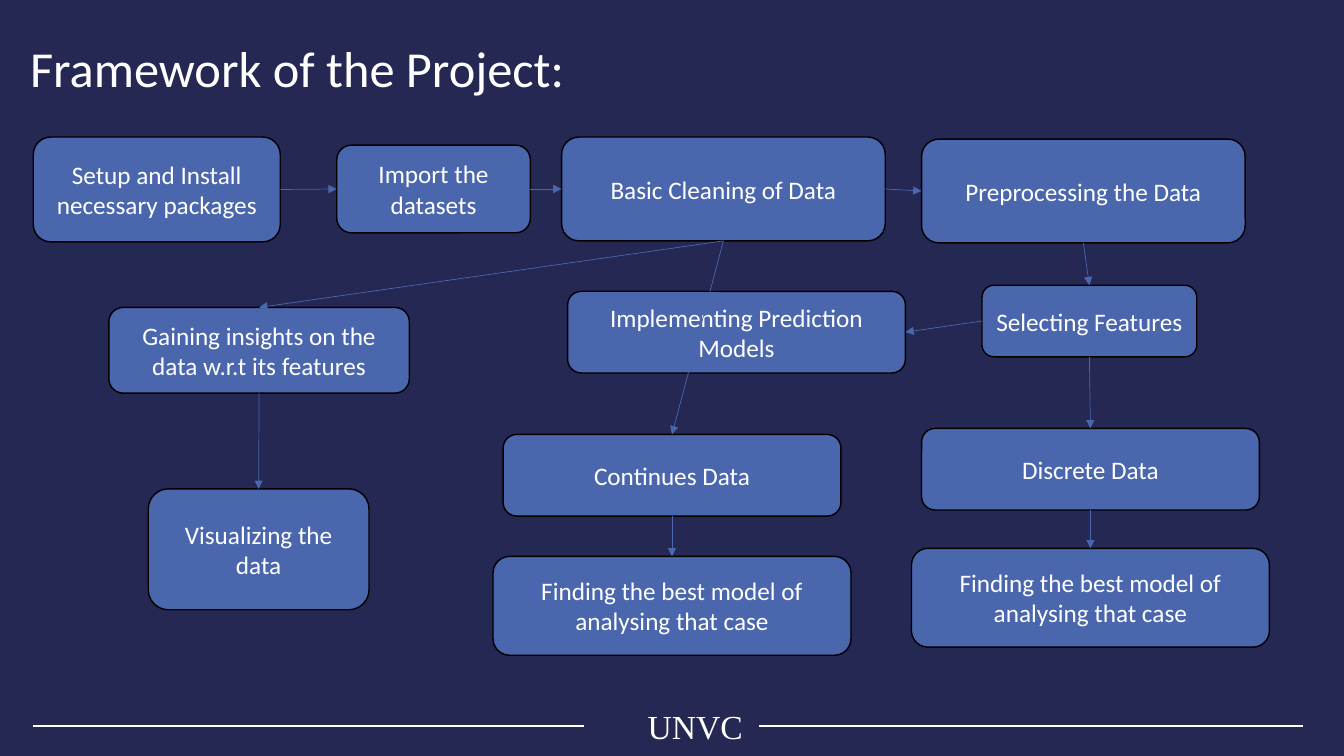
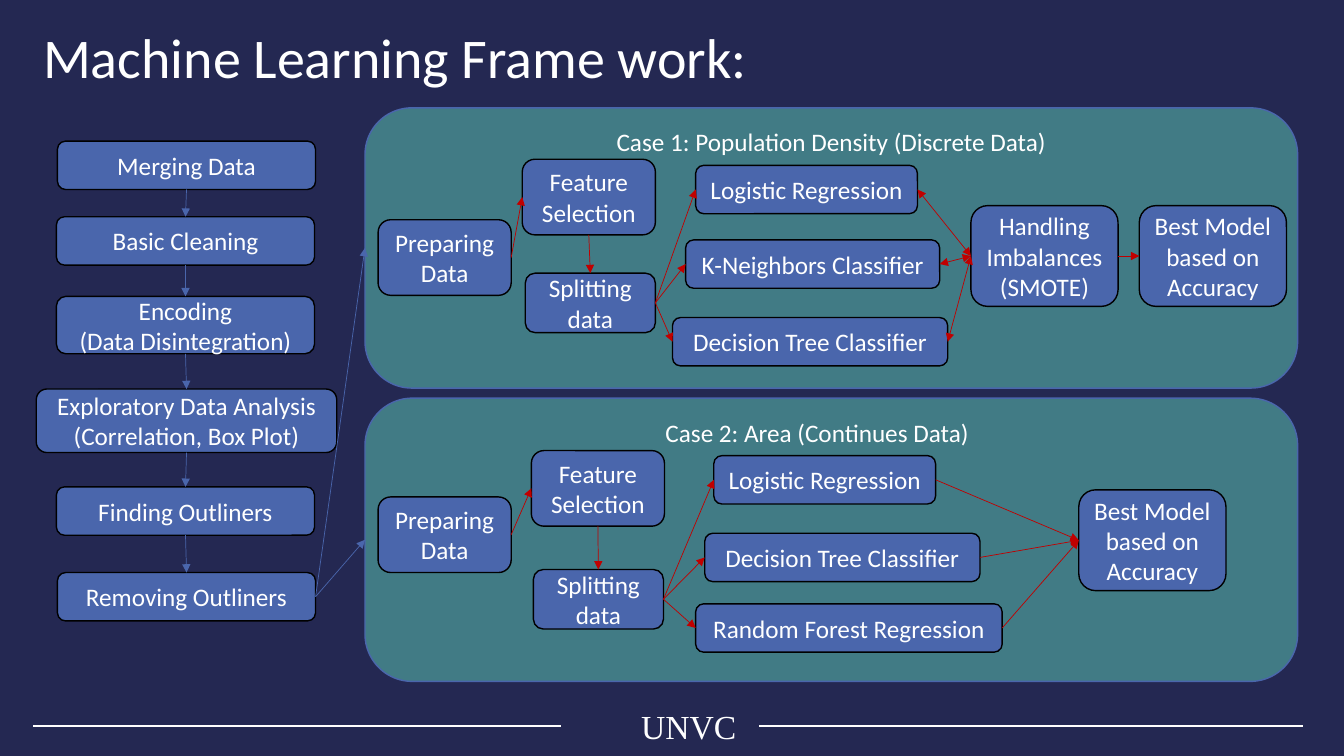
"""Build two flow-chart slides about a machine learning project."""
import pptx
import pptx.util
import pptx.dml.color
import pptx.enum.shapes
import pptx.enum.text
import pptx.oxml
import pptx.oxml.ns

PX = 9144
TOP, LEFT, BASE, RIGHT = range(4)
ALIGN = pptx.enum.text.PP_ALIGN
ANCHOR = pptx.enum.text.MSO_ANCHOR


class Theme:
    """Colours, fonts and type sizes."""
    back, ink, edge = "242852", "FFFFFF", "000000"
    blue, teal, red = "4A66AC", "417B85", "C00000"
    body, serif = "Calibri", "Times New Roman"
    label, mark = 18, 24
    thin, rim, rule = 0.5, 1, 1.5


class Deck:
    """Holds the style and the current slide."""

    def __init__(self, theme):
        self.theme = theme
        self.show = pptx.Presentation()
        self.show.slide_width, self.show.slide_height = 1333 * PX, 750 * PX
        self.slide = None

    def tint(self, code):
        return pptx.dml.color.RGBColor.from_string(code)

    def page(self, title, spot, size, end, align):
        self.slide = self.show.slides.add_slide(self.show.slide_layouts[6])
        fill = self.slide.background.fill
        fill.solid()
        fill.fore_color.rgb = self.tint(self.theme.back)
        self.text(title, spot, size, self.theme.body)
        self.text("UNVC", (626, 695, 127, 50), self.theme.mark, self.theme.serif, align)
        for start, stop in ((33, end), (753, 1292)):
            self.line((start, 720, stop, 720), self.theme.ink, self.theme.rule)

    def words(self, frame, text, size, font, align):
        frame.word_wrap = True
        frame.text = text
        for para in frame.paragraphs:
            para.alignment = align
            para.font.size = pptx.util.Pt(size)
            para.font.name = font
            para.font.color.rgb = self.tint(self.theme.ink)

    def text(self, text, spot, size, font, align=ALIGN.LEFT):
        box = self.slide.shapes.add_textbox(*(n * PX for n in spot))
        self.words(box.text_frame, text, size, font, align)

    def box(self, text, spot, fill=Theme.blue, edge=Theme.edge, anchor=ANCHOR.MIDDLE):
        kind = pptx.enum.shapes.MSO_SHAPE.ROUNDED_RECTANGLE
        box = self.slide.shapes.add_shape(kind, *(n * PX for n in spot))
        box.shadow.inherit = False
        box.fill.solid()
        box.fill.fore_color.rgb = self.tint(fill)
        box.line.color.rgb = self.tint(edge)
        box.line.width = pptx.util.Pt(self.theme.rim)
        box.text_frame.vertical_anchor = anchor
        self.words(box.text_frame, text, self.theme.label, self.theme.body, ALIGN.CENTER)
        return box

    def panel(self, text, spot, shift=0):
        panel = self.box(text, spot, self.theme.teal, self.theme.blue, ANCHOR.TOP)
        panel.text_frame.margin_right += shift * PX
        return panel

    def line(self, ends, tint, width):
        kind = pptx.enum.shapes.MSO_CONNECTOR.STRAIGHT
        line = self.slide.shapes.add_connector(kind, *(n * PX for n in ends))
        line.line.color.rgb = self.tint(tint)
        line.line.width = pptx.util.Pt(width)
        line._element.spPr.append(self.node("effectLst"))
        return line

    def node(self, tag):
        space = pptx.oxml.ns.nsdecls("a")
        return pptx.oxml.parse_xml(f"<a:{tag} {space}/>")

    def link(self, start, out, stop, into, tint=Theme.blue, both=False):
        line = self.line((0, 0, 0, 0), tint, self.theme.thin)
        line.begin_connect(start, out)
        line.end_connect(stop, into)
        stroke = line._element.spPr.find(pptx.oxml.ns.qn("a:ln"))
        for tag in ("headEnd", "tailEnd") if both else ("tailEnd",):
            tip = self.node(tag)
            tip.set("type", "triangle")
            stroke.append(tip)

    def case(self, prep, pick, split, models):
        first = self.box("Preparing Data", (*prep, 132, 75))
        second = self.box("Feature Selection", (*pick, 132, 75))
        third = self.box("Splitting data", (*split, 129, 59))
        group = [self.box(name, (x, y, w, 48)) for name, x, y, w in models]
        self.link(first, RIGHT, second, LEFT, self.theme.red)
        self.link(second, BASE, third, TOP, self.theme.red)
        for model in group:
            self.link(third, RIGHT, model, LEFT, self.theme.red)
        return group

    def merge(self, group, goal, both=False):
        for model in group:
            self.link(model, RIGHT, goal, LEFT, self.theme.red, both)


def project(deck):
    deck.page("Framework of the Project:", (20, 32, 1286, 71), 36, 579, ALIGN.CENTER)
    best = "Finding the best model of analysing that case"
    setup = deck.box("Setup and Install necessary packages", (33, 136, 245, 104))
    load = deck.box("Import the datasets", (334, 144, 192, 87))
    clean = deck.box("Basic Cleaning of Data", (557, 136, 321, 103))
    prep = deck.box("Preprocessing the Data", (914, 138, 321, 103))
    gain = deck.box("Gaining insights on the data w.r.t its features", (108, 305, 298, 85))
    view = deck.box("Visualizing the data", (147, 485, 219, 120))
    model = deck.box("Implementing Prediction Models", (563, 289, 335, 81))
    pick = deck.box("Selecting Features", (974, 283, 213, 71))
    flow = deck.box("Continues Data", (499, 431, 335, 81))
    step = deck.box("Discrete Data", (914, 425, 335, 81))
    left = deck.box(best, (489, 552, 355, 98))
    right = deck.box(best, (904, 544, 355, 98))
    for start, stop in ((setup, load), (load, clean), (clean, prep)):
        deck.link(start, RIGHT, stop, LEFT)
    deck.link(pick, LEFT, model, RIGHT)
    for start, stop in ((clean, gain), (gain, view), (clean, flow), (flow, left),
                        (prep, pick), (pick, step), (step, right)):
        deck.link(start, BASE, stop, TOP)


def learning(deck):
    deck.page("Machine Learning Frame work:", (33, 17, 1223, 77), 40, 556, ALIGN.LEFT)
    best = "Best Model based on Accuracy"
    cases = [deck.panel("Case 1: Population Density (Discrete Data)", (362, 107, 925, 278)),
             deck.panel("Case 2: Area (Continues Data)", (362, 395, 925, 281), 28)]
    steps = [deck.box(text, spot) for text, spot in (
        ("Merging Data", (57, 140, 256, 48)),
        ("Basic Cleaning", (56, 215, 256, 48)),
        ("Encoding\n(Data Disintegration)", (56, 294, 256, 57)),
        ("Exploratory Data Analysis\n(Correlation, Box Plot)", (36, 386, 298, 63)),
        ("Finding Outliners", (56, 483, 256, 48)),
        ("Removing Outliners", (57, 568, 256, 48)))]
    for start, stop in zip(steps, steps[1:]):
        deck.link(start, BASE, stop, TOP)
    for panel in cases:
        deck.link(steps[-1], RIGHT, panel, LEFT)

    group = deck.case((375, 218), (518, 158), (521, 271), (
        ("Logistic Regression", 690, 164, 220),
        ("K-Neighbors Classifier", 680, 238, 252),
        ("Decision Tree Classifier", 667, 315, 273)))
    smote = deck.box("Handling Imbalances (SMOTE)", (963, 204, 146, 100))
    deck.merge(group, smote, True)
    deck.merge([smote], deck.box(best, (1130, 204, 146, 100)))

    group = deck.case((375, 493), (527, 447), (529, 565), (
        ("Logistic Regression", 708, 452, 220),
        ("Decision Tree Classifier", 699, 529, 273),
        ("Random Forest Regression", 690, 599, 304)))
    deck.merge(group, deck.box(best, (1070, 486, 146, 100)))


def main():
    deck = Deck(Theme())
    project(deck)
    learning(deck)
    deck.show.save("out.pptx")


if __name__ == "__main__":
    main()
